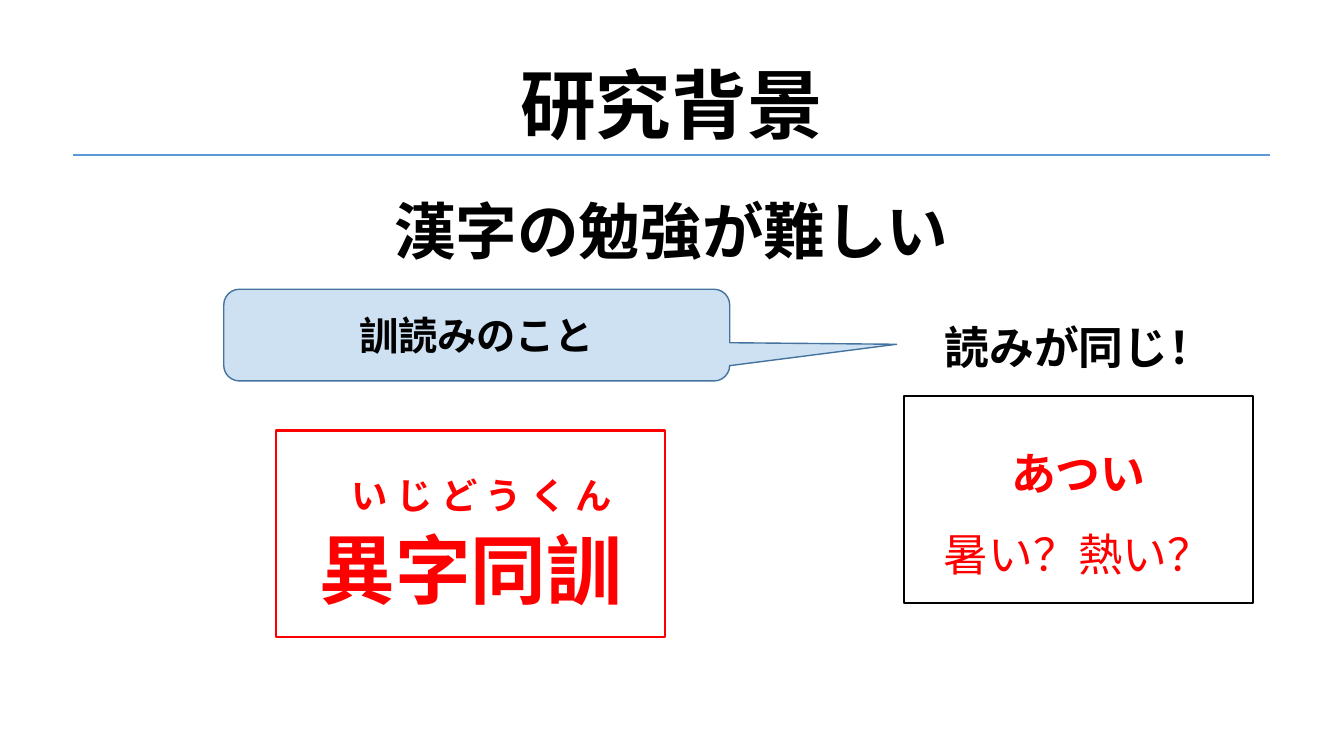
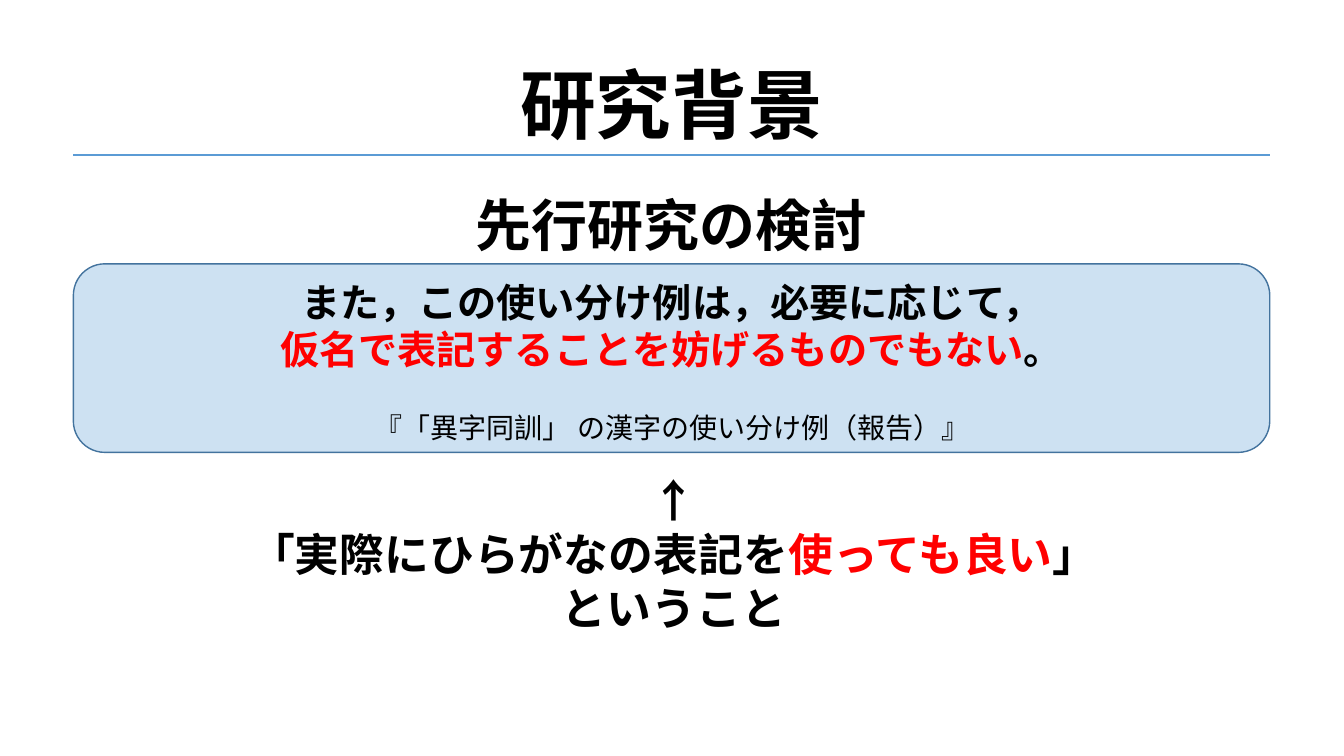
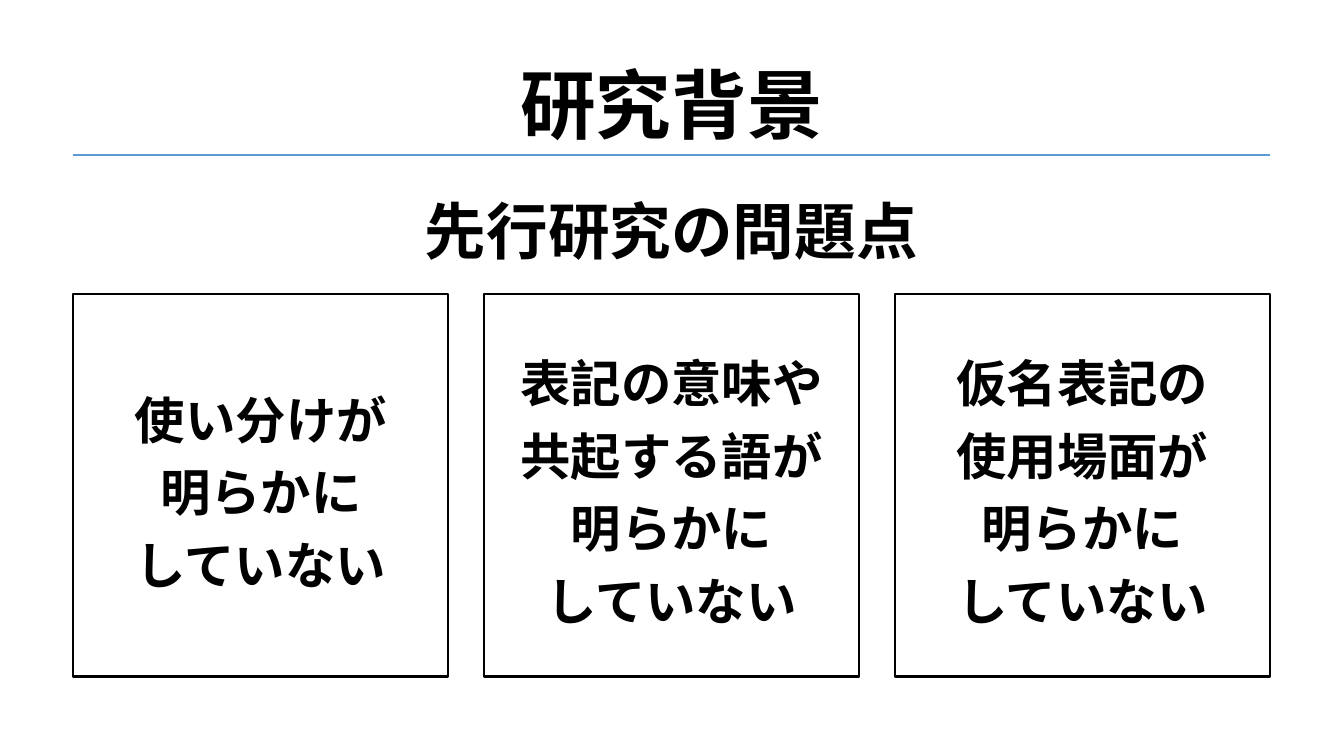
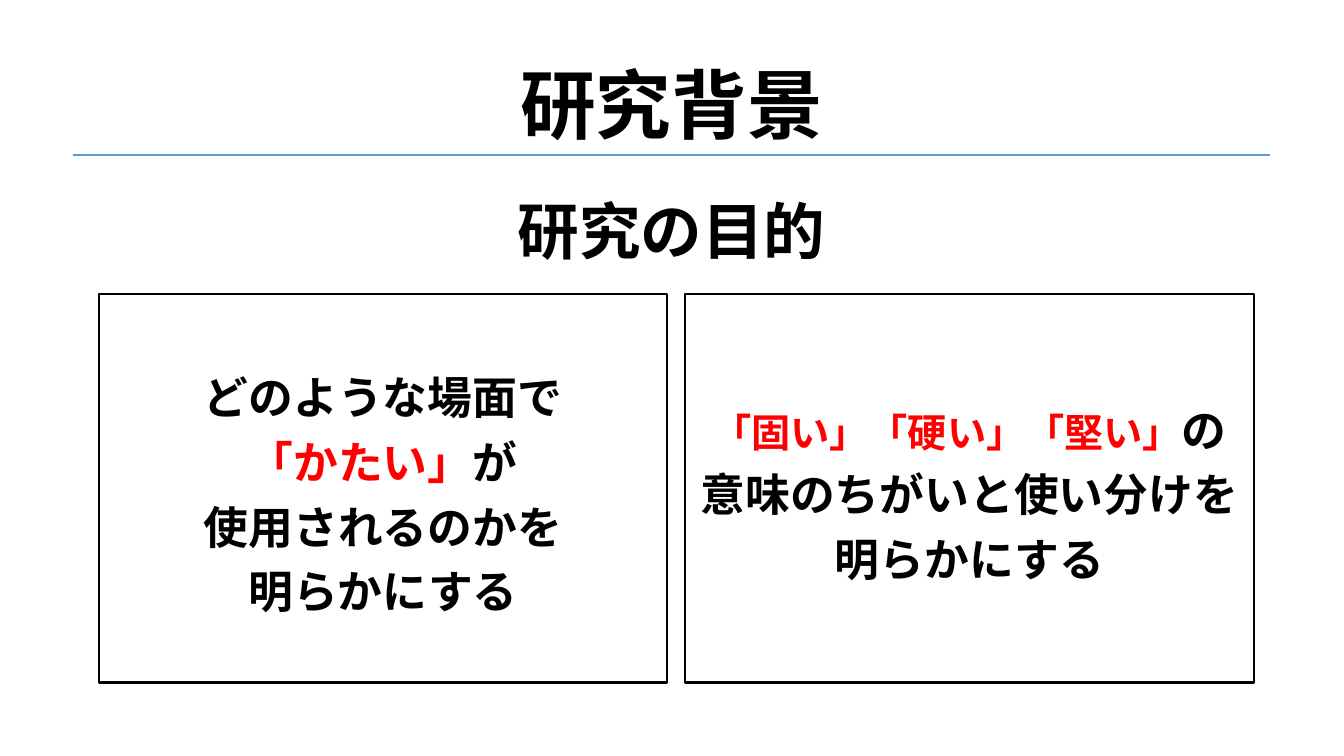
from lxml import etree
from pptx import Presentation
from pptx import util as u
from pptx.dml import color
from pptx.enum import shapes, text
from pptx.oxml import ns

COLORS = {"ink": "000000", "red": "FF0000", "rule": "5B9BD5",
          "panel": "BDD7EE", "panel_line": "43739E"}
FONT = "Noto Sans CJK JP"
MARGIN, CONTENT_WIDTH = 1.85, 30.15
RULE_TOP, BOX_TOP = 3.91, 7.42
KIND = shapes.MSO_SHAPE
TOP, MIDDLE, BOTTOM = (text.MSO_ANCHOR.TOP, text.MSO_ANCHOR.MIDDLE,
                       text.MSO_ANCHOR.BOTTOM)


def rgb(name):
    """Return the named colour of the palette."""
    return color.RGBColor.from_string(COLORS[name])


def add_text(slide, content, at, size=32, ink="ink", bold=True, anchor=TOP,
             spacing=1.0, tracking=0, kind=None, line=None, line_width=1.5,
             fill=None):
    """Add centred text, in a preset shape if kind is given.

    Content is a string or a list of (string, format) pairs, where the
    format may override size, ink and bold. A newline is a line break.
    """
    place = [u.Cm(length) for length in at]
    if kind is None:
        shape = slide.shapes.add_textbox(*place)
    else:
        shape = slide.shapes.add_shape(kind, *place)
        shape.shadow.inherit = False
        shape.line.color.rgb = rgb(line)
        shape.line.width = u.Pt(line_width)
        if fill:
            shape.fill.solid()
            shape.fill.fore_color.rgb = rgb(fill)
            fill_color = shape._element.spPr.find(".//" + ns.qn("a:srgbClr"))
            etree.SubElement(fill_color, ns.qn("a:alpha"), val="75000")
        else:
            shape.fill.background()
    frame = shape.text_frame
    frame.word_wrap = True
    frame.vertical_anchor = anchor
    paragraph = frame.paragraphs[0]
    paragraph.alignment = text.PP_ALIGN.CENTER
    paragraph.line_spacing = spacing
    pieces = [(content, {})] if isinstance(content, str) else content
    for words, changes in pieces:
        for number, words_in_line in enumerate(words.split("\n")):
            if number:
                paragraph.add_line_break()
            if not words_in_line:
                continue
            run = paragraph.add_run()
            run.text = words_in_line
            run.font.name = FONT
            run.font.size = u.Pt(changes.get("size", size))
            run.font.bold = changes.get("bold", bold)
            run.font.color.rgb = rgb(changes.get("ink", ink))
            properties = run._r.get_or_add_rPr()
            etree.SubElement(properties, ns.qn("a:ea"), typeface=FONT)
            if tracking:
                properties.set("spc", str(tracking * 100))
    return shape


presentation = Presentation()
presentation.slide_width = u.Cm(33.87)
presentation.slide_height = u.Cm(19.05)

# Every slide: title, rule and heading
slides = []
for heading, size, top, height in [("漢字の勉強が難しい", 44, 4.37, 2.57),
                                   ("先行研究の検討", 40, 4.34, 2.31),
                                   ("先行研究の問題点", 44, 4.37, 2.57),
                                   ("研究の目的", 44, 4.37, 2.57)]:
    slide = presentation.slides.add_slide(presentation.slide_layouts[6])
    slides.append(slide)
    add_text(slide, "研究背景", (MARGIN, 1.4, CONTENT_WIDTH, 2.46), size=54,
             anchor=BOTTOM)
    rule = slide.shapes.add_connector(
        shapes.MSO_CONNECTOR.STRAIGHT, u.Cm(MARGIN), u.Cm(RULE_TOP),
        u.Cm(MARGIN + CONTENT_WIDTH), u.Cm(RULE_TOP))
    rule.line.color.rgb = rgb("rule")
    rule.line.width = u.Pt(1.5)
    etree.SubElement(rule._element.spPr, ns.qn("a:effectLst"))
    add_text(slide, heading, (MARGIN, top, CONTENT_WIDTH, height), size=size,
             spacing=1.2)
difficulty, review, problems, purpose = slides

# Slide 1: words that sound alike
add_text(difficulty, "読みが同じ！", (22.38, 7.67, 9.63, 1.93), spacing=1.2)
add_text(difficulty, [("あつい\n", {}), ("暑い？熱い？", {"bold": False})],
         (22.78, 9.98, 8.79, 5.21), ink="red", anchor=MIDDLE, spacing=1.5,
         kind=KIND.RECTANGLE, line="ink")
callout = add_text(difficulty, "訓読みのこと", (5.64, 7.29, 12.75, 2.31),
                   size=28, anchor=MIDDLE,
                   kind=KIND.ROUNDED_RECTANGULAR_CALLOUT,
                   line="panel_line", line_width=1, fill="panel")
for index, value in enumerate((0.83, 0.1, 0.17)):
    callout.adjustments[index] = value
add_text(difficulty, "", (6.96, 10.85, 9.8, 5.21), kind=KIND.RECTANGLE,
         line="red")
add_text(difficulty, "異字同訓", (7.47, 10.85, 8.79, 4.75), size=54,
         ink="red", anchor=BOTTOM, spacing=1.5)
add_text(difficulty, "いじどうくん", (7.75, 12.12, 8.79, 1.02), size=26,
         ink="red", anchor=BOTTOM, spacing=1.5, tracking=6)

# Slide 2: quotation and what it means
add_text(review, [("また，この使い分け例は，必要に応じて，\n", {}),
                  ("仮名で表記することを妨げるものでもない", {"ink": "red"}),
                  ("。", {})],
         (MARGIN, 6.65, CONTENT_WIDTH, 4.75), size=28,
         kind=KIND.ROUNDED_RECTANGLE, line="panel_line", line_width=1,
         fill="panel")
add_text(review, "『「異字同訓」 の漢字の使い分け例（報告）』",
         (8.56, 9.98, 16.76, 1.42), size=20, bold=False, anchor=MIDDLE,
         spacing=1.2)
add_text(review, [("↑\n「実際にひらがなの表記を", {}),
                  ("使っても良い", {"ink": "red"}),
                  ("」\nということ", {})],
         (3.5, 11.79, 26.97, 5.05))

# Slides 3 and 4: rows of equal boxes
problem_texts = ["使い分けが\n明らかに\nしていない",
                 "表記の意味や\n共起する語が\n明らかに\nしていない",
                 "仮名表記の\n使用場面が\n明らかに\nしていない"]
purpose_texts = [
    [("どのような場面で\n", {}), ("「かたい」", {"ink": "red"}),
     ("が\n使用されるのかを\n明らかにする", {})],
    [("「固い」「硬い」「堅い」", {"ink": "red", "size": 28}),
     ("の意味のちがいと使い分けを明らかにする", {})]]
for slide, contents, left, width, height, gap, size in [
        (problems, problem_texts, MARGIN, 9.45, 9.63, 0.9, 36),
        (purpose, purpose_texts, 2.49, 14.33, 9.78, 0.45, 32)]:
    for column, content in enumerate(contents):
        add_text(slide, content,
                 (left + column * (width + gap), BOX_TOP, width, height),
                 size=size, anchor=MIDDLE, spacing=1.2, kind=KIND.RECTANGLE,
                 line="ink")

presentation.save("out.pptx")
